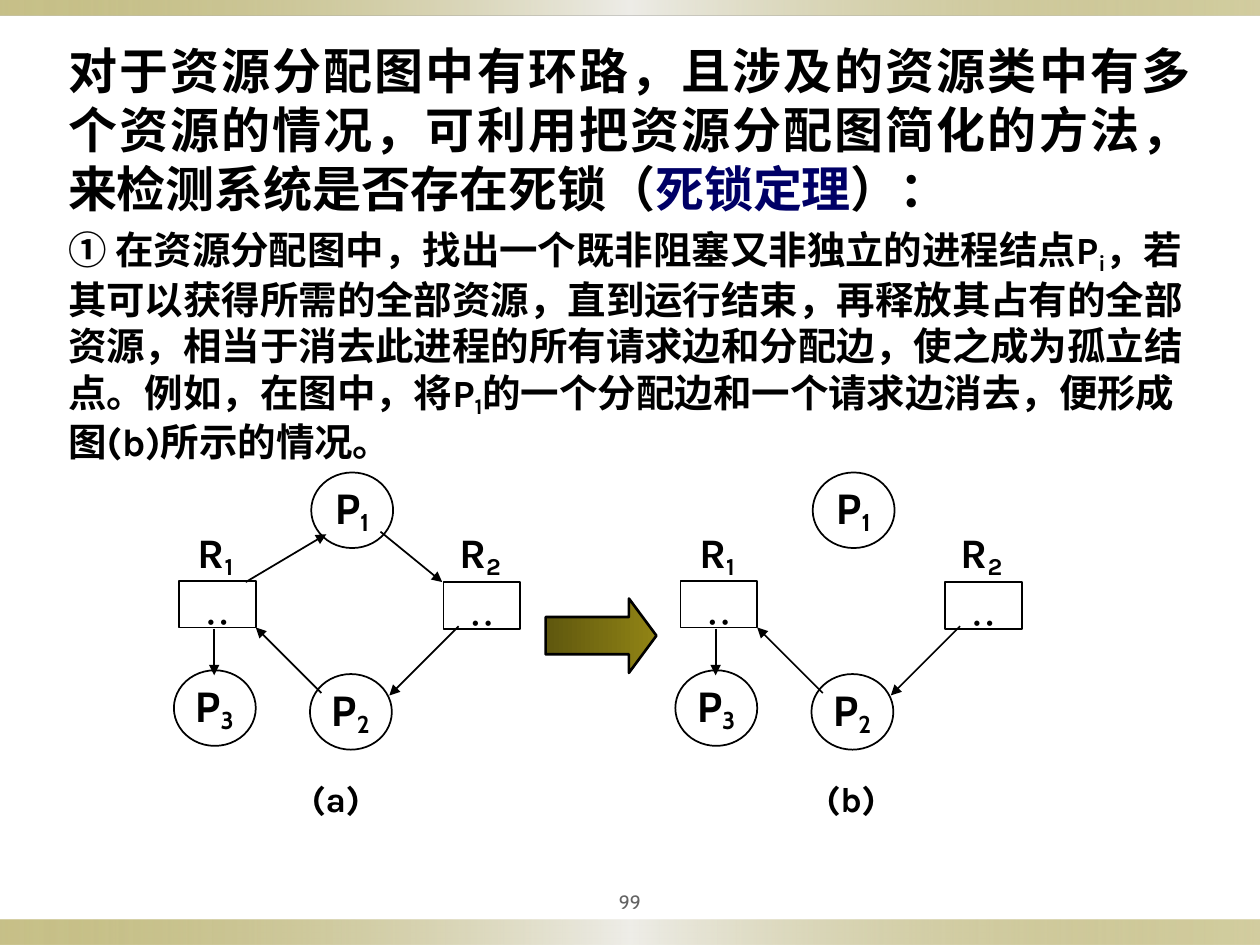
"""Build the deadlock theorem slide with two resource allocation graphs."""
from dataclasses import dataclass

import lxml.etree
import pptx
import pptx.dml.color
import pptx.enum.shapes
import pptx.enum.text
import pptx.oxml
import pptx.oxml.ns
import pptx.util

Inches = pptx.util.Inches
Pt = pptx.util.Pt
Align = pptx.enum.text.PP_ALIGN
Anchor = pptx.enum.text.MSO_ANCHOR
Shape = pptx.enum.shapes.MSO_SHAPE
qn = pptx.oxml.ns.qn


@dataclass(frozen=True)
class Theme:
    """Colours, fonts and type sizes of the slide."""
    ink: str = "000000"
    term: str = "000066"
    muted: str = "636363"
    olive: str = "918415"
    dark_olive: str = "5F570E"
    pale: str = "EEEDE8"
    text_font: str = "Karla"
    node_font: str = "Cabin"
    heading: int = 28
    body: int = 22
    node: int = 24
    caption: int = 20
    footer: int = 11


def rgb(colour):
    """Return a colour object for a hex string."""
    return pptx.dml.color.RGBColor.from_string(colour)


def apply(target, values):
    """Set every attribute in a dict of format values."""
    for name, value in values.items():
        setattr(target, name, value)


class SlideBuilder:
    """Hold the theme and the current slide, and draw each kind of element."""

    def __init__(self, slide, theme):
        """Start drawing on the slide itself."""
        self.slide, self.theme, self.shapes = slide, theme, slide.shapes

    def start_group(self):
        """Send the following elements to a new group."""
        self.shapes = self.slide.shapes.add_group_shape().shapes

    def end_group(self):
        """Send the following elements to the slide again."""
        self.shapes = self.slide.shapes

    def add_runs(self, paragraph, pieces, size, font=None, colour=None, bold=True, baseline=0):
        """Add (text, baseline, colour) pieces to a paragraph as runs."""
        for text, shift, piece_colour in pieces:
            run = paragraph.add_run()
            run.text = text
            apply(run.font, {"size": Pt(size), "bold": bold, "name": font or self.theme.text_font})
            run.font.color.rgb = rgb(piece_colour or colour or self.theme.ink)
            if shift or baseline:
                run.font._element.set("baseline", str((shift or baseline) * 1000))

    def body(self, bounds, paragraphs):
        """Fill the body placeholder with unbulleted paragraphs."""
        placeholder = self.slide.placeholders[1]
        apply(placeholder, dict(zip(("left", "top", "width", "height"), map(Inches, bounds))))
        frame = placeholder.text_frame
        apply(frame, {"word_wrap": True, "auto_size": pptx.enum.text.MSO_AUTO_SIZE.NONE})
        for index, (pieces, size, values) in enumerate(paragraphs):
            paragraph = frame.add_paragraph() if index else frame.paragraphs[0]
            properties = paragraph._p.get_or_add_pPr()
            properties.set("marL", "0")
            properties.set("indent", "0")
            lxml.etree.SubElement(properties, qn("a:buNone"))
            apply(paragraph, values)
            self.add_runs(paragraph, pieces, size)

    def label(self, bounds, pieces, size, anchor=Anchor.TOP, margin=0.05, **style):
        """Add a centred text box."""
        frame = self.shapes.add_textbox(*map(Inches, bounds)).text_frame
        apply(frame, {"word_wrap": True, "vertical_anchor": anchor,
                      "margin_left": Inches(margin), "margin_right": Inches(margin)})
        frame.paragraphs[0].alignment = Align.CENTER
        self.add_runs(frame.paragraphs[0], pieces, size, **style)

    def outline(self, kind, bounds, width=1):
        """Add an unfilled shape, with a black line unless the width is zero."""
        shape = self.shapes.add_shape(kind, *map(Inches, bounds))
        shape.shadow.inherit = False
        shape.fill.background()
        if width:
            shape.line.color.rgb = rgb(self.theme.ink)
            shape.line.width = Pt(width)
        else:
            shape.line.fill.background()
        return shape

    def node(self, kind, bounds, pieces, anchor, **style):
        """Add an outlined graph node with centred text."""
        frame = self.outline(kind, bounds).text_frame
        apply(frame, {"word_wrap": False, "vertical_anchor": anchor,
                      "margin_left": Inches(0.06), "margin_right": Inches(0.06),
                      "margin_top": 0, "margin_bottom": Inches(0.01)})
        frame.paragraphs[0].alignment = Align.CENTER
        self.add_runs(frame.paragraphs[0], pieces, self.theme.node, self.theme.node_font, **style)

    def gradient(self, kind, bounds, stops, width=0):
        """Add a shape with a horizontal gradient of (place, colour, opacity) stops."""
        shape = self.outline(kind, bounds, width)
        shape.fill.gradient()
        shape.fill.gradient_angle = 0
        stop_list = shape._element.spPr.find(".//" + qn("a:gsLst"))
        for old_stop in list(stop_list):
            stop_list.remove(old_stop)
        for place, colour, opacity in stops:
            stop = lxml.etree.SubElement(stop_list, qn("a:gs"), pos=str(place * 1000))
            fill = lxml.etree.SubElement(stop, qn("a:srgbClr"), val=colour)
            lxml.etree.SubElement(fill, qn("a:alpha"), val=str(opacity * 1000))
        return shape

    def edge(self, start, end):
        """Add a straight line with an arrowhead at its end."""
        connector = self.shapes.add_connector(
            pptx.enum.shapes.MSO_CONNECTOR.STRAIGHT, *map(Inches, start + end))
        connector.line.color.rgb = rgb(self.theme.ink)
        connector.line.width = Pt(1)
        lxml.etree.SubElement(connector.line._get_or_add_ln(), qn("a:tailEnd"), type="triangle")
        lxml.etree.SubElement(connector._element.spPr, qn("a:effectLst"))

    def graph(self, offset, caption, caption_left, edges):
        """Draw one resource allocation graph, moved right by the offset."""
        theme = self.theme
        self.start_group()
        self.label((caption_left, 6.12, 1.05, 0.43), [(caption, 0, None)], theme.caption)
        for number, left, top in (("1", 2.47, 3.75), ("2", 2.46, 5.35), ("3", 1.38, 5.32)):
            self.node(Shape.OVAL, (left + offset, top, 0.65, 0.6),
                      [("P", 0, None), (number, -16, None)], Anchor.MIDDLE)
        for number, left, top in (("1", 1.42, 4.61), ("2", 3.52, 4.62)):
            self.node(Shape.RECTANGLE, (left + offset, top, 0.61, 0.37),
                      [("• •", 0, None)], Anchor.TOP, baseline=-16)
            self.label((left + offset - 0.15, 4.13, 0.88, 0.5),
                       [("R", 0, None), (number, -16, None)], theme.node)
        for (start_x, start_y), (end_x, end_y) in edges:
            self.edge((start_x + offset, start_y), (end_x + offset, end_y))
        self.end_group()


def main():
    """Create and save the presentation."""
    presentation = pptx.Presentation()
    presentation.slide_width, presentation.slide_height = Inches(10), Inches(7.5)
    slide = presentation.slides.add_slide(presentation.slide_layouts[1])
    title = slide.shapes.title._element
    title.getparent().remove(title)
    theme = Theme()
    builder = SlideBuilder(slide, theme)

    band_stops = [(0, theme.olive, 50), (50, theme.pale, 100), (100, theme.olive, 40)]
    for top, height in ((7.3, 0.2), (0, 0.12)):
        builder.gradient(Shape.RECTANGLE, (0, top, 10, height), band_stops)
    builder.label((4.5, 7, 1, 0.31), [("99", 0, None)], theme.footer, Anchor.MIDDLE,
                  font=theme.node_font, colour=theme.muted, bold=False)

    heading = [
        ("对于资源分配图中有环路，且涉及的资源类中有多个资源的情况，可利用把资源分配图简化的方法，"
         "来检测系统是否存在死锁（", 0, None),
        ("死锁定理", 0, theme.term), ("）：", 0, None)]
    step = [
        ("① 在资源分配图中，找出一个既非阻塞又非独立的进程结点P", 0, None), ("i", -18, None),
        ("，若其可以获得所需的全部资源，直到运行结束，再释放其占有的全部资源，相当于消去此进程的"
         "所有请求边和分配边，使之成为孤立结点。例如，在图中，将P", 0, None), ("1", -18, None),
        ("的一个分配边和一个请求边消去，便形成图(b)所示的情况。", 0, None)]
    builder.body((0.44, 0.27, 9.11, 3.43), [
        (heading, theme.heading, {"alignment": Align.JUSTIFY, "space_before": Pt(0)}),
        (step, theme.body, {"alignment": Align.LEFT, "space_before": Pt(5.5)})])

    p1_edges = [((1.95, 4.62), (2.59, 4.24)), ((3.02, 4.22), (3.51, 4.62))]
    other_edges = [((1.7, 4.99), (1.7, 5.36)), ((2.55, 5.5), (2.03, 4.98)),
                   ((3.64, 4.97), (3.09, 5.52))]
    builder.graph(0, "(a)", 2.14, p1_edges + other_edges)
    builder.graph(3.98, "(b)", 6.23, other_edges)

    arrow = builder.gradient(Shape.RIGHT_ARROW, (4.33, 4.75, 0.88, 0.59),
                             [(0, theme.dark_olive, 100), (100, theme.olive, 100)], 1.5)
    arrow.adjustments[1] = 0.37
    presentation.save("out.pptx")


if __name__ == "__main__":
    main()
